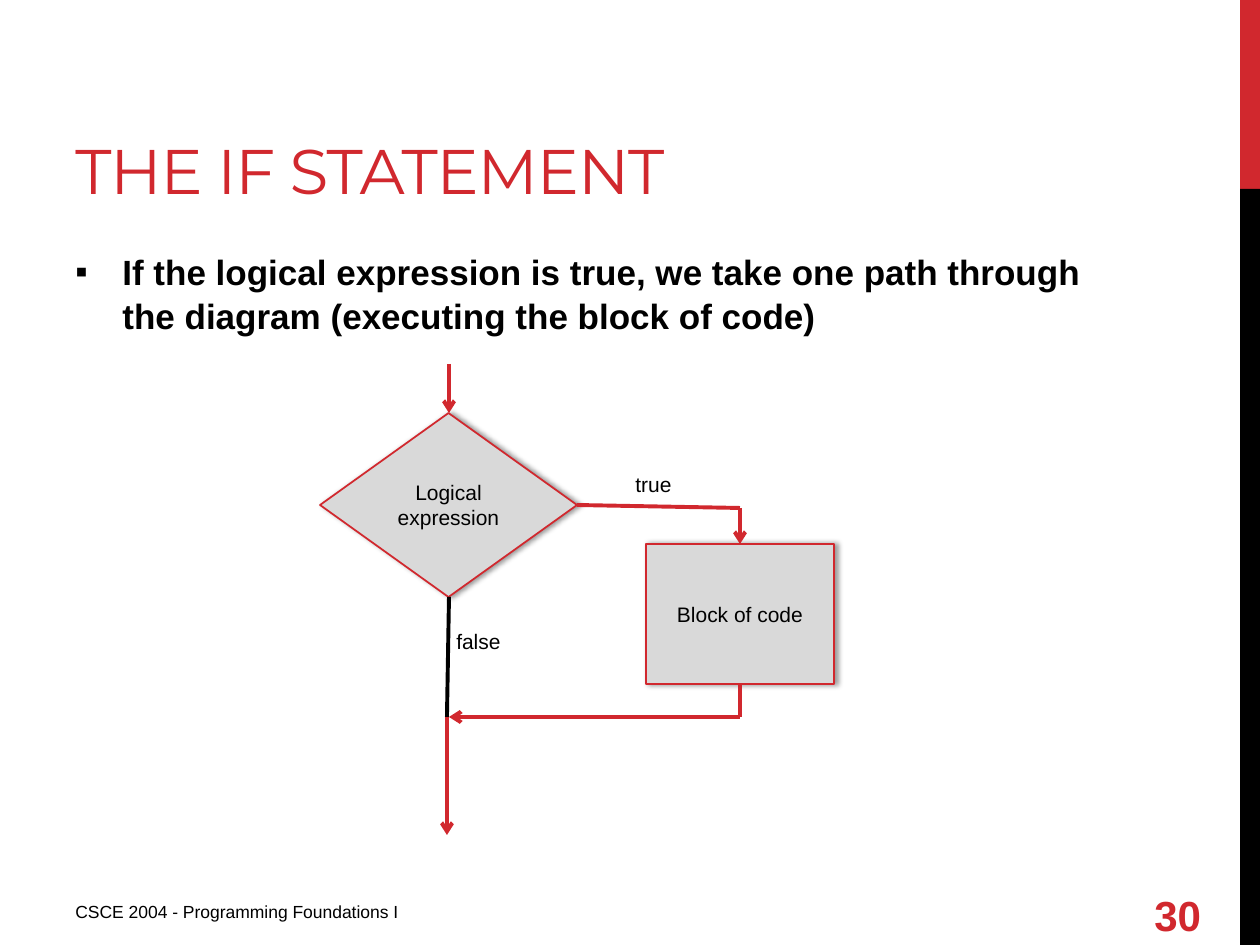
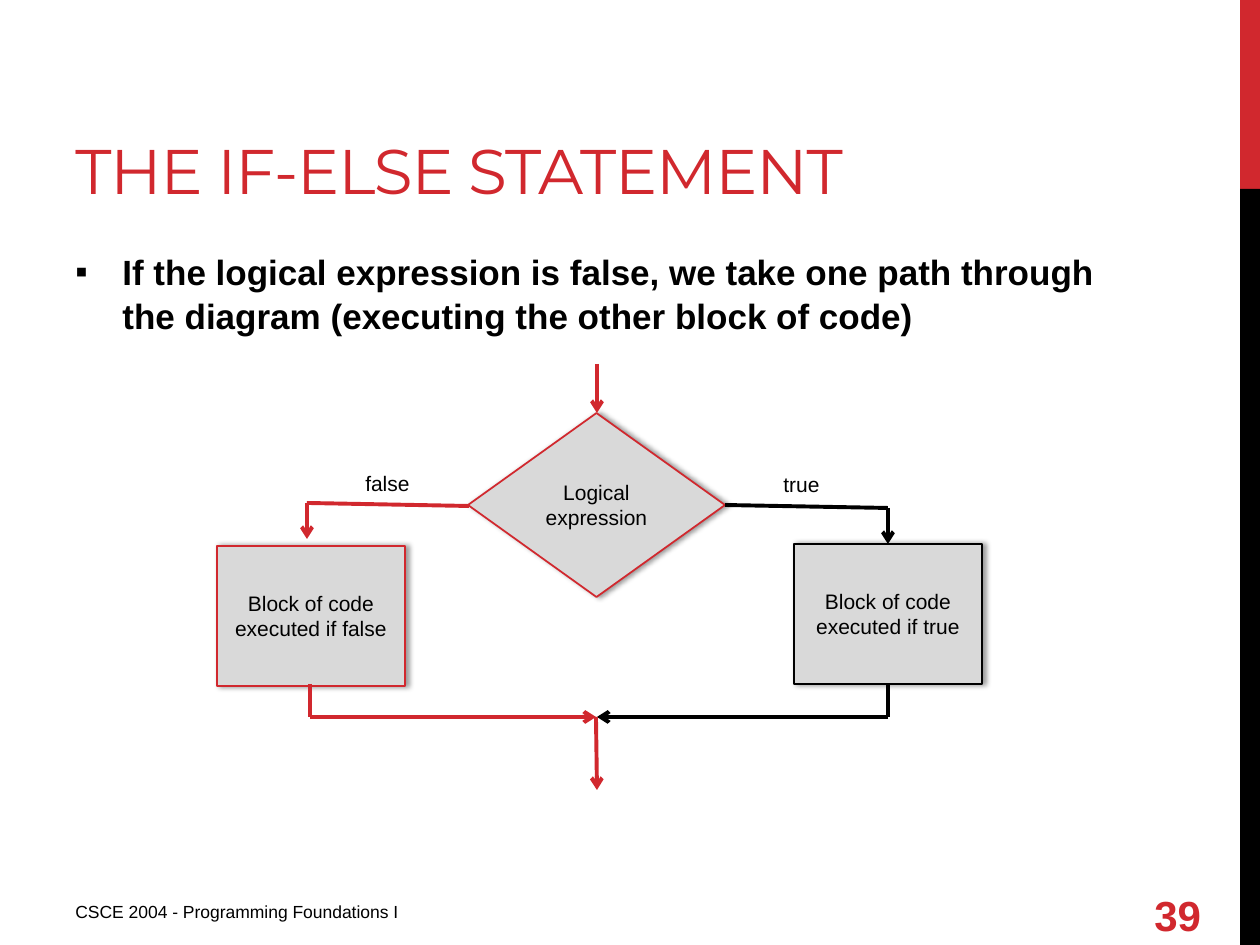
from lxml.etree import SubElement
from pptx import Presentation
from pptx.dml.color import RGBColor
from pptx.enum.shapes import MSO_CONNECTOR as Connector, MSO_SHAPE as Shape
from pptx.enum.text import MSO_ANCHOR as Anchor, PP_ALIGN as Align
from pptx.oxml.ns import qn
from pptx.util import Emu, Pt

RED = RGBColor(0xD1, 0x28, 0x2E)
BLACK = RGBColor(0, 0, 0)
WHITE = RGBColor(255, 255, 255)
GRAY = RGBColor(0xD9, 0xD9, 0xD9)

SCALE = 914400 / 126
WIDTH, HEIGHT = 1260, 945
MERGE_Y = 717
LABEL_TEXT = {"name": "Arial", "size": Pt(12)}


def px(length):
    """Turn pixels into EMU."""
    return Emu(round(length * SCALE))


def write(shape, text, font, color=BLACK, align=Align.LEFT, anchor=Anchor.TOP):
    """Put one formatted paragraph into a shape and return it."""
    frame = shape.text_frame
    frame.word_wrap = True
    frame.vertical_anchor = anchor
    para = frame.paragraphs[0]
    para.alignment = align
    span = para.add_run()
    span.text = text
    for name, value in font.items():
        setattr(span.font, name, value)
    span.font.color.rgb = color
    return para


def add_text(slide, bounds, text, font, **layout):
    """Add a text box holding one paragraph."""
    box = slide.shapes.add_textbox(*map(px, bounds))
    return box, write(box, text, font, **layout)


def add_filled(slide, kind, bounds, fill, outline=None):
    """Add a preset shape with a plain fill and an optional outline."""
    shape = slide.shapes.add_shape(kind, *map(px, bounds))
    shape.shadow.inherit = False
    shape.fill.solid()
    shape.fill.fore_color.rgb = fill
    if outline is None:
        shape.line.fill.background()
    else:
        shape.line.color.rgb = outline
        shape.line.width = Pt(1)
    return shape


def add_node(slide, kind, bounds, text, outline):
    """Add a gray flowchart node with a soft shadow."""
    node = add_filled(slide, kind, bounds, GRAY, outline)
    effects = node._element.spPr.find(qn("a:effectLst"))
    shadow = SubElement(effects, qn("a:outerShdw"), blurRad=str(Pt(3.1)),
                        dist=str(Pt(1.8)), dir="0", rotWithShape="0")
    tint = SubElement(shadow, qn("a:srgbClr"), val=str(BLACK))
    SubElement(tint, qn("a:alpha"), val="40000")
    write(node, text, LABEL_TEXT, align=Align.CENTER, anchor=Anchor.MIDDLE)


def add_label(slide, left, top, text):
    """Add a branch label on white."""
    label = add_filled(slide, Shape.RECTANGLE, (left, top, 127, 38), WHITE)
    write(label, text, LABEL_TEXT, align=Align.CENTER)


def add_route(slide, points, color, arrow=True):
    """Join points with straight lines, the last one with an arrowhead."""
    for start, end in zip(points, points[1:]):
        line = slide.shapes.add_connector(Connector.STRAIGHT, *map(px, start + end))
        line.line.color.rgb = color
        line.line.width = Pt(2.25)
        if arrow and end == points[-1]:
            SubElement(line.line._get_or_add_ln(), qn("a:tailEnd"), type="arrow")
        SubElement(line._element.spPr, qn("a:effectLst"))


def add_bullet(para):
    """Give a paragraph a hanging square bullet."""
    properties = para._p.get_or_add_pPr()
    properties.set("marL", str(px(47)))
    properties.set("indent", str(-px(47)))
    SubElement(properties, qn("a:buFont"), typeface="Arial")
    SubElement(properties, qn("a:buChar"), char="▪")


def add_page(deck, title, statement, number):
    """Add a slide with side bands, title, statement and footer."""
    page = deck.slides.add_slide(deck.slide_layouts[6])
    for top, height, color in ((0, 189, RED), (189, 756, BLACK)):
        add_filled(page, Shape.RECTANGLE, (1240, top, 20, height), color)
    box, para = add_text(page, (63, 21, 798, 189), title,
                         {"name": "Montserrat", "size": Pt(36)},
                         color=RED, anchor=Anchor.BOTTOM)
    box.text_frame.margin_bottom = px(3)
    para.runs[0].font._element.set("spc", "-60")
    _, para = add_text(page, (63, 242, 1050, 602), statement,
                       {"name": "Arial", "size": Pt(20), "bold": True})
    para.line_spacing = 1.05
    add_bullet(para)
    add_text(page, (63, 895, 473, 39), "CSCE 2004 - Programming Foundations I",
             {"name": "Arial", "size": Pt(10)})
    add_text(page, (1142, 890, 93, 50), number,
             {"name": "Arial", "size": Pt(24), "bold": True},
             color=RED, anchor=Anchor.MIDDLE)
    return page


def add_decision(page, center, block_text, branch_color):
    """Draw the entry, the diamond and the true branch on its right."""
    branch = center + 291
    add_node(page, Shape.DIAMOND, (center - 129, 413, 257, 184),
             "Logical expression", RED)
    add_node(page, Shape.RECTANGLE, (center + 197, 544, 188, 140),
             block_text, branch_color)
    add_label(page, center + 141, 465, "true")
    add_route(page, [(center, 364), (center, 413)], RED)
    add_route(page, [(center + 128, 505), (branch, 508), (branch, 544)], branch_color)
    add_route(page, [(branch, 684), (branch, MERGE_Y), (center, MERGE_Y)], branch_color)


def add_if_diagram(page):
    """Draw the if flow with the true branch taken."""
    add_decision(page, 449, "Block of code", RED)
    add_label(page, 415, 622, "false")
    add_route(page, [(447, MERGE_Y), (447, 835)], RED)
    add_route(page, [(449, 597), (447, MERGE_Y)], BLACK, arrow=False)


def add_if_else_diagram(page):
    """Draw the if-else flow with the false branch taken."""
    add_decision(page, 597, "Block of code executed if true", BLACK)
    add_label(page, 324, 464, "false")
    add_node(page, Shape.RECTANGLE, (217, 546, 188, 140),
             "Block of code executed if false", RED)
    add_route(page, [(469, 506), (307, 503), (307, 539)], RED)
    add_route(page, [(310, 684), (310, MERGE_Y), (596, MERGE_Y)], RED)
    add_route(page, [(596, MERGE_Y), (597, 790)], RED)


def main():
    """Build and save the deck."""
    deck = Presentation()
    deck.slide_width, deck.slide_height = px(WIDTH), px(HEIGHT)
    add_if_diagram(add_page(
        deck, "THE IF STATEMENT",
        "If the logical expression is true, we take one path through "
        "the diagram (executing the block of code)", "30"))
    add_if_else_diagram(add_page(
        deck, "THE IF-ELSE STATEMENT",
        "If the logical expression is false, we take one path through "
        "the diagram (executing the other block of code)", "39"))
    deck.save("out.pptx")


if __name__ == "__main__":
    main()
